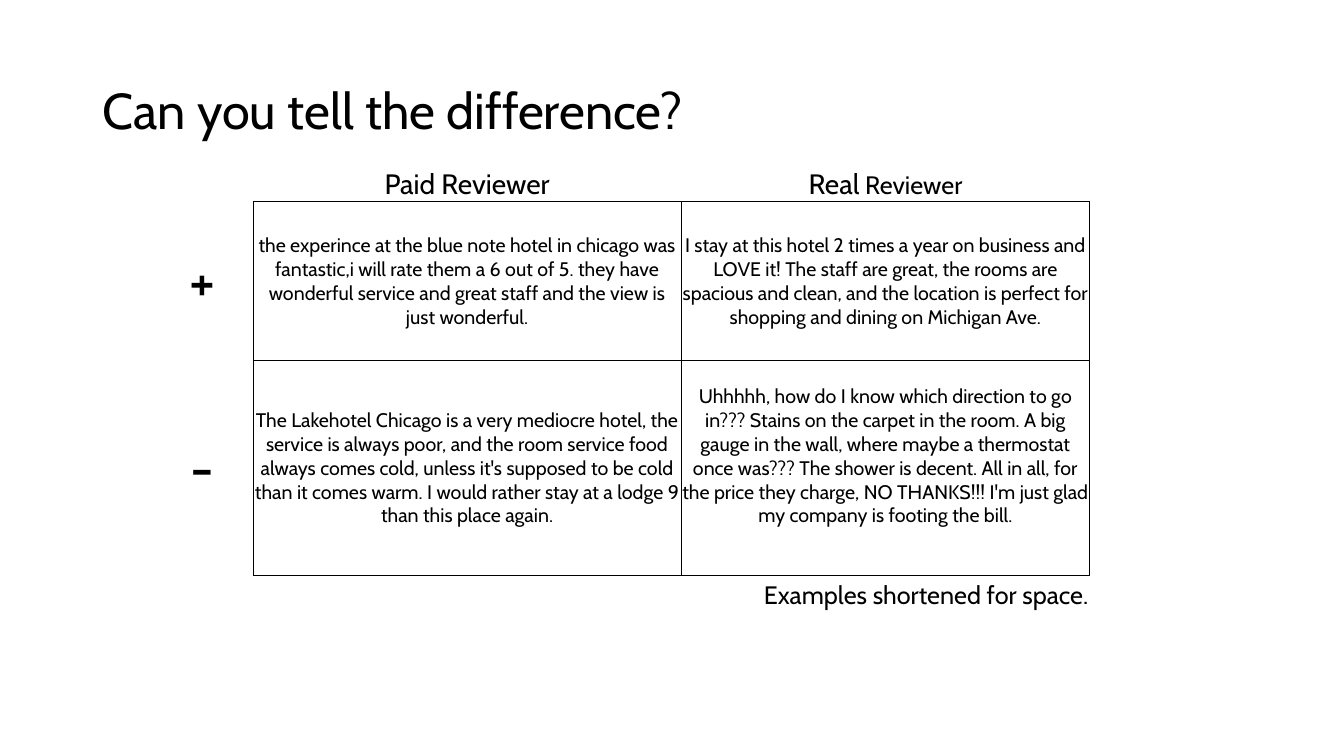
from lxml import etree
from pptx import Presentation
from pptx.dml.color import RGBColor
from pptx.enum.text import MSO_ANCHOR, PP_ALIGN
from pptx.oxml.ns import qn
from pptx.util import Pt

CENTER, MIDDLE = PP_ALIGN.CENTER, MSO_ANCHOR.MIDDLE
BLACK = "000000"
TITLE_ONLY = 5


def add_run(paragraph, text, size):
    run = paragraph.add_run()
    run.text = text
    format_values = {"name": "Cabin", "size": Pt(size), "bold": False}
    for name, value in format_values.items():
        setattr(run.font, name, value)
    run.font.color.rgb = RGBColor.from_string(BLACK)


def set_borders(cell, visible_sides):
    properties = cell._tc.get_or_add_tcPr()
    for index, side in enumerate("LRTB"):
        line = etree.Element(qn("a:ln" + side), w=str(Pt(0.5)))
        if side in visible_sides:
            fill = etree.SubElement(line, qn("a:solidFill"))
            etree.SubElement(fill, qn("a:srgbClr"), val=BLACK)
        else:
            etree.SubElement(line, qn("a:noFill"))
        properties.insert(index, line)


presentation = Presentation()
presentation.slide_width, presentation.slide_height = Pt(960), Pt(540)
slide = presentation.slides.add_slide(presentation.slide_layouts[TITLE_ONLY])

# Title
title = slide.shapes.title
title_values = {"left": Pt(66), "top": Pt(29), "width": Pt(828), "height": Pt(104)}
for name, value in title_values.items():
    setattr(title, name, value)
title.text_frame.vertical_anchor = MIDDLE
title_paragraph = title.text_frame.paragraphs[0]
title_paragraph.alignment = PP_ALIGN.LEFT
title_paragraph.line_spacing = 0.9
add_run(title_paragraph, "Can you tell the difference?", 36)

# Review table: each cell is a list of (text, size) runs
reviews = [
    [[], [("Paid Reviewer", 20)], [("Real", 20), (" Reviewer", 18)]],
    [
        [("+", 40)],
        [("the experince at the blue note hotel in chicago was fantastic,i will "
          "rate them a 6 out of 5. they have wonderful service and great staff "
          "and the view is just wonderful.", 14)],
        [("I stay at this hotel 2 times a year on business and LOVE it! The staff "
          "are great, the rooms are spacious and clean, and the location is "
          "perfect for shopping and dining on Michigan Ave.", 14)],
    ],
    [
        [("-", 40)],
        [("The Lakehotel Chicago is a very mediocre hotel, the service is always "
          "poor, and the room service food always comes cold, unless it's "
          "supposed to be cold than it comes warm. I would rather stay at a "
          "lodge 9 than this place again.", 14)],
        [("Uhhhhh, how do I know which direction to go in??? Stains on the carpet "
          "in the room. A big gauge in the wall, where maybe a thermostat once "
          "was??? The shower is decent. All in all, for the price they charge, "
          "NO THANKS!!! I'm just glad my company is footing the bill.", 14)],
    ],
]
column_widths = [72.7, 306, 291.6]
row_heights = [25, 113, 154]
table = slide.shapes.add_table(
    3, 3, Pt(108), Pt(119), Pt(sum(column_widths)), Pt(sum(row_heights))
).table
table.first_row = table.horz_banding = False
for column, width in zip(table.columns, column_widths):
    column.width = Pt(width)
for row, height in zip(table.rows, row_heights):
    row.height = Pt(height)

cell_values = {
    "margin_left": Pt(0.7), "margin_right": Pt(0.7), "margin_top": Pt(0.7),
    "margin_bottom": 0, "vertical_anchor": MIDDLE,
}
for row_index, row_runs in enumerate(reviews):
    for column_index, runs in enumerate(row_runs):
        cell = table.cell(row_index, column_index)
        for name, value in cell_values.items():
            setattr(cell, name, value)
        paragraph = cell.text_frame.paragraphs[0]
        paragraph.alignment = CENTER
        for text, size in runs:
            add_run(paragraph, text, size)
        cell.fill.background()
        # Only the review cells are boxed; labels share the adjoining edge
        if row_index and column_index:
            set_borders(cell, "LRTB")
        elif column_index:
            set_borders(cell, "B")
        else:
            set_borders(cell, "R" if row_index else "")

# The last review sits one line higher
table.cell(2, 2).margin_bottom = Pt(17)

# Caption under the table
caption = slide.shapes.add_textbox(Pt(538.6), Pt(410.4), Pt(252), Pt(29))
caption.text_frame.word_wrap = False
add_run(caption.text_frame.paragraphs[0], "Examples shortened for space.", 18)

presentation.save("out.pptx")
